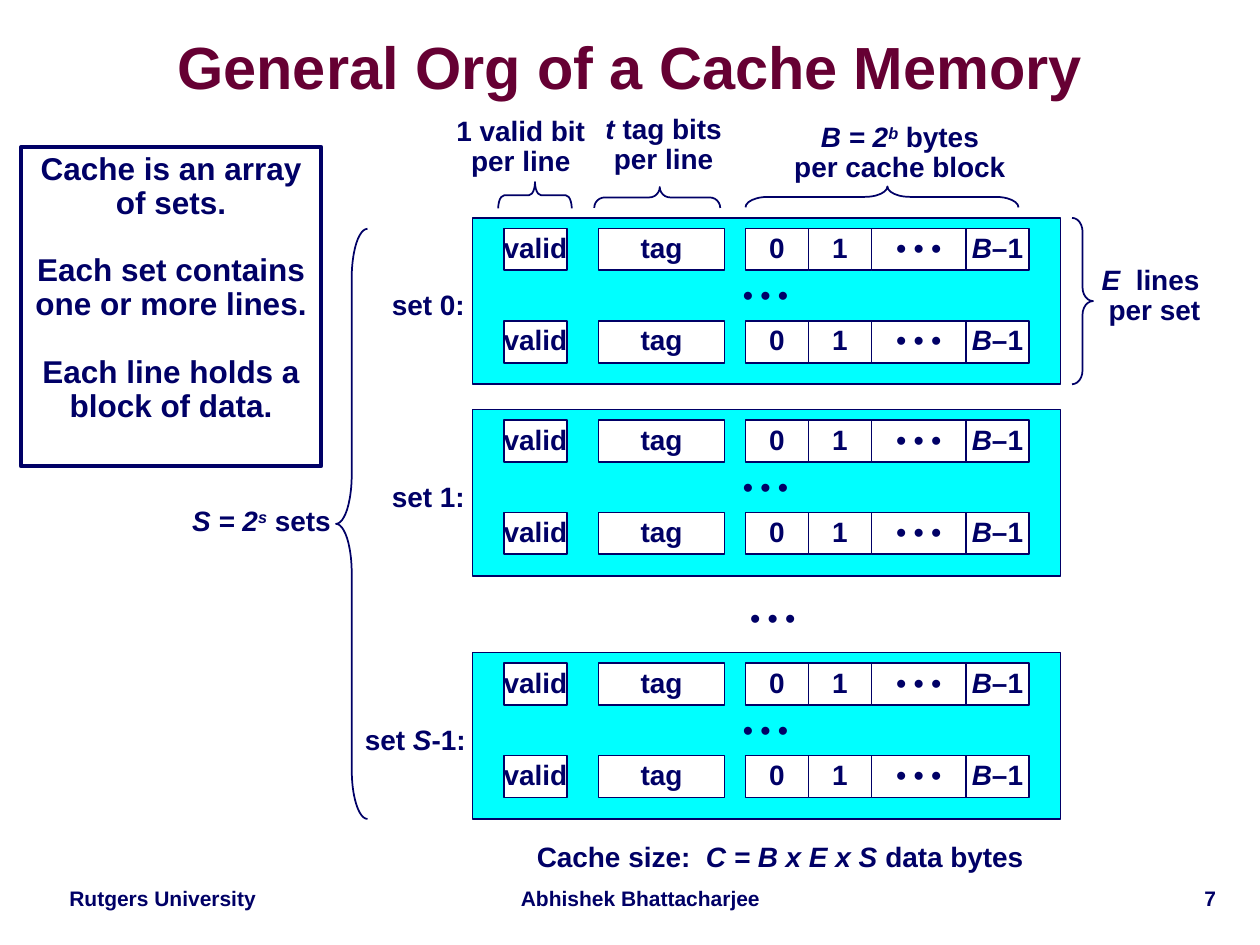
from pptx import Presentation
from pptx.dml.color import RGBColor
from pptx.enum.shapes import MSO_SHAPE
from pptx.enum.text import MSO_ANCHOR, PP_ALIGN
from pptx.util import Inches, Pt

NAVY, MAROON, CYAN, WHITE = "000066", "660033", "00FFFF", "FFFFFF"
DOTS = "•\u00a0•\u00a0•"

deck = Presentation()
deck.slide_width, deck.slide_height = Inches(10), Inches(7.5)
slide = deck.slides.add_slide(deck.slide_layouts[6])
unit = deck.slide_width / 120


def add_outline(preset, left, top, width, height, fill=None, weight=1):
    outline = slide.shapes.add_shape(preset, *[round(n * unit) for n in (left, top, width, height)])
    outline.shadow.inherit = False
    outline.line.color.rgb = RGBColor.from_string(NAVY)
    outline.line.width = Pt(weight)
    if fill:
        outline.fill.solid()
        outline.fill.fore_color.rgb = RGBColor.from_string(fill)
    else:
        outline.fill.background()
    return outline


def write(lines, box=None, at=None, size=16, color=NAVY, align=PP_ALIGN.CENTER,
          anchor=MSO_ANCHOR.MIDDLE, wrap=False, spacing=0.9):
    if box is None:
        box = slide.shapes.add_textbox(*[round(n * unit) for n in at])
    frame = box.text_frame
    frame.word_wrap = wrap
    frame.vertical_anchor = anchor
    for index, line in enumerate(lines):
        paragraph = frame.add_paragraph() if index else frame.paragraphs[0]
        paragraph.alignment = align
        paragraph.line_spacing = spacing
        for words, style in [(line, "")] if isinstance(line, str) else line:
            run = paragraph.add_run()
            run.text = words
            run.font.name = "Arial"
            run.font.size = Pt(size)
            run.font.bold = True
            run.font.italic = "i" in style
            run.font.color.rgb = RGBColor.from_string(color)
            if "^" in style:
                run.font._element.set("baseline", "30000")
    return frame


for words, at, align in [
    ("Rutgers University", (4, 84, 23, 3.4), PP_ALIGN.CENTER),
    ("Abhishek Bhattacharjee", (48, 84, 26, 3.4), PP_ALIGN.CENTER),
    ("7", (98, 84, 19, 3.6), PP_ALIGN.RIGHT),
]:
    write([words], at=at, size=12, align=align, anchor=MSO_ANCHOR.TOP, wrap=True)

title = write(["General Org of a Cache Memory"], at=(1.3, 3, 117.4, 7.5),
              size=34, color=MAROON, wrap=True, spacing=0.87)
title.margin_left = title.margin_right = title.margin_top = title.margin_bottom = 0

last_byte = [("B", "i"), ("–1", "")]
line_cells = [("valid", 3, 6), ("tag", 12, 12), ("0", 26, 6), ("1", 32, 6),
              (DOTS, 38, 9), (last_byte, 47, 6)]
set_left, set_width, set_height = 45, 56, 15.85
cache_sets = [
    ("set 0:", 20.75, 36.1, 9.4),
    ("set 1:", 39, 36.1, 9.4),
    ([("set ", ""), ("S", "i"), ("-1:", "")], 62.15, 33.5, 12.1),
]
for label, top, label_left, label_width in cache_sets:
    add_outline(MSO_SHAPE.RECTANGLE, set_left, top, set_width, set_height, CYAN)
    for line_offset in (1, 9.8):
        for content, column, width in line_cells:
            cell = add_outline(MSO_SHAPE.RECTANGLE, set_left + column, top + line_offset,
                               width, 4, WHITE)
            write([content], cell)
    write([label], at=(label_left, top + 6.25, label_width, 4.4))
    write([DOTS], at=(68.4, top + 5.5, 9, 4))
write([DOTS], at=(69.1, 57, 9, 4))

for preset, at, rotation, curl, tip in [
    (MSO_SHAPE.RIGHT_BRACE, (83, 5.75, 2, 26), 270, 1.08, 0.52),
    (MSO_SHAPE.RIGHT_BRACE, (102.1, 20.75, 2, 15.85), 0, 0.66, 0.5),
    (MSO_SHAPE.LEFT_BRACE, (32, 21.8, 3, 56.2), 0, 1.56, 0.5),
    (MSO_SHAPE.RIGHT_BRACE, (61.6, 12.8, 2, 12), 270, 0.5, 0.52),
    (MSO_SHAPE.LEFT_BRACE, (49.7, 15.1, 2.5, 7), 90, 0.23, 0.5),
]:
    brace = add_outline(preset, *at)
    brace.rotation = rotation
    brace.adjustments[0], brace.adjustments[1] = curl, tip

for lines, at in [
    ([[("B = 2", "i"), ("b", "i^"), (" bytes", "")], "per cache block"], (74.4, 10.8, 22.6, 7.7)),
    ([[("E", "i"), ("  lines ", "")], "per set"], (103.7, 24.4, 12.5, 7.7)),
    ([[("S = 2", "i"), ("s", "i^"), (" sets", "")]], (17, 47.6, 15.8, 4.4)),
    ([[("t ", "i"), ("tag bits", "")], "per line"], (56.4, 10, 13.6, 7.7)),
    (["1 valid bit", "per line"], (42.2, 10.2, 14.8, 7.7)),
    ([[("Cache size:  ", ""), ("C = B x E x S ", "i"), ("data bytes", "")]], (49.8, 79.6, 49, 4.4)),
]:
    write(lines, at=at)

summary_box = add_outline(MSO_SHAPE.RECTANGLE, 2, 14, 28.6, 30.4, weight=2.25)
summary = write(["Cache is an array", "of sets.", "Each set contains", "one or more lines.",
                 "Each line holds a", "block of data."],
                summary_box, size=18, anchor=MSO_ANCHOR.TOP)
for statement in summary.paragraphs[2::2]:
    statement.space_before = Pt(19)

deck.save("out.pptx")
